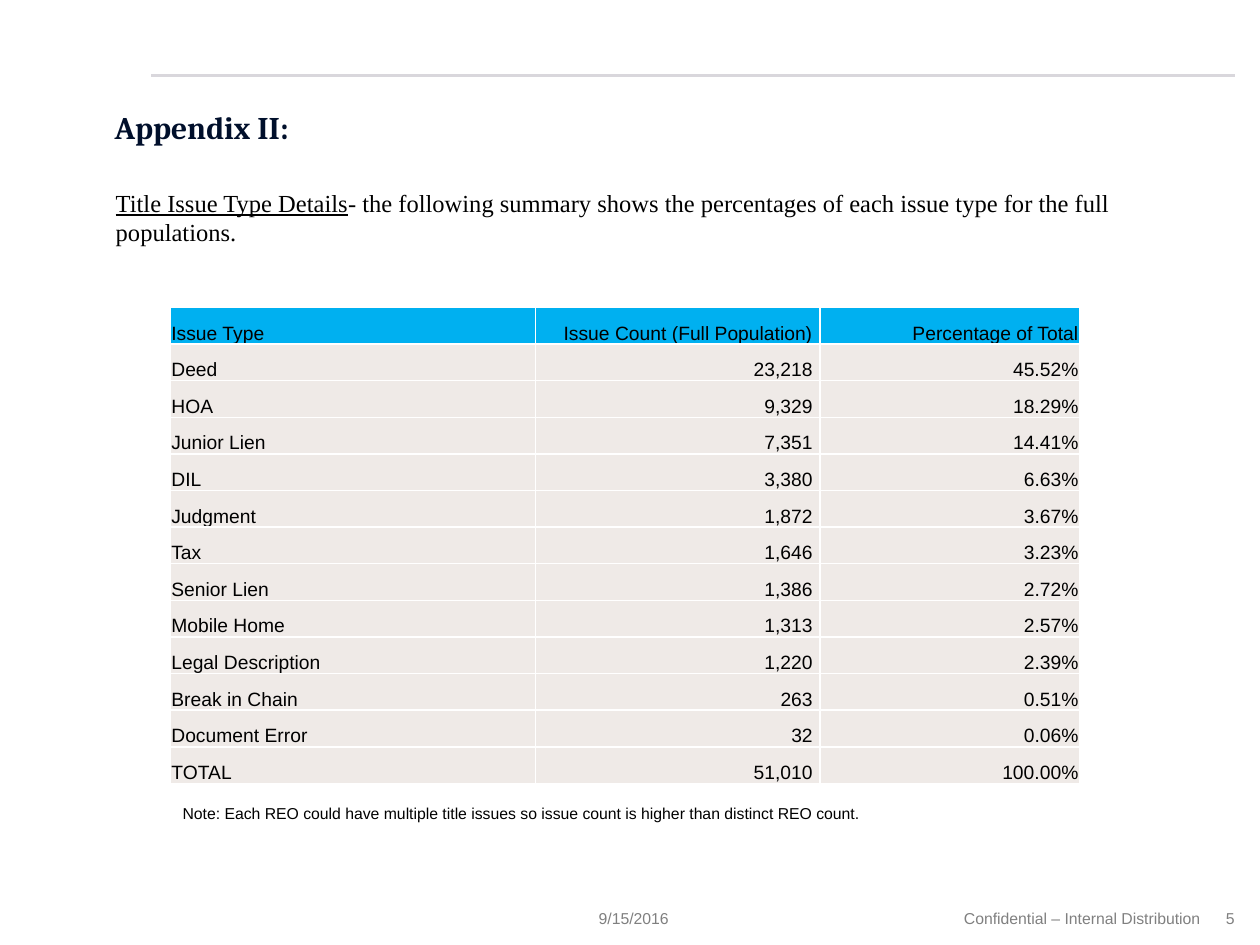
import pptx
import pptx.dml.color
import pptx.enum.shapes
import pptx.enum.text
import pptx.oxml
import pptx.oxml.ns
import pptx.util
import lxml.etree

Inches = pptx.util.Inches
Align = pptx.enum.text.PP_ALIGN
qn = pptx.oxml.ns.qn


def color(value):
    return pptx.dml.color.RGBColor.from_string(value)


def write(para, text, size, font, fill, **extra):
    span = para.add_run()
    span.text = text
    formats = {"size": pptx.util.Pt(size), "name": font, **extra}
    for name, value in formats.items():
        setattr(span.font, name, value)
    span.font.color.rgb = color(fill)


deck = pptx.Presentation()
deck.slide_width, deck.slide_height = Inches(10), Inches(7.5)
page = deck.slides.add_slide(deck.slide_layouts[5])

# Rule across the top
rule = page.shapes.add_connector(
    pptx.enum.shapes.MSO_CONNECTOR.STRAIGHT,
    Inches(1.2), Inches(0.6), Inches(9.8), Inches(0.6))
rule.line.color.rgb = color("D9D7DC")
rule.line.width = pptx.util.Pt(1.5)
lxml.etree.SubElement(rule.element.spPr, qn("a:effectLst"))

# Title
title = page.shapes.title
title.left, title.top = Inches(0.91), Inches(0.81)
title.width, title.height = Inches(8.84), Inches(0.64)
frame_formats = {
    "margin_left": 0, "margin_right": Inches(0.1),
    "margin_top": Inches(0.05), "margin_bottom": Inches(0.05),
    "vertical_anchor": pptx.enum.text.MSO_ANCHOR.TOP,
    "auto_size": pptx.enum.text.MSO_AUTO_SIZE.NONE,
}
for name, value in frame_formats.items():
    setattr(title.text_frame, name, value)
heading = title.text_frame.paragraphs[0]
heading.alignment = Align.LEFT
write(heading, "Appendix II:", 18, "Cambria", "000F2B", bold=True)

# Intro, note, date and footer: place, alignment, spans
serif = (14, "Times New Roman", "000000")
small = (9, "Arial", "000000")
muted = (9, "Arial", "808080")
texts = [
    ((0.82, 1.44, 8.15, 0.57), Align.LEFT, [
        ("Title Issue Type Details", serif, {"underline": True}),
        ("- the following summary shows the percentages of each issue type "
         "for the full populations.", serif, {})]),
    ((1.35, 6.33, 5.88, 0.25), Align.LEFT, [
        ("Note: Each REO could have multiple title issues so issue count is "
         "higher than distinct REO count.", small, {})]),
    ((4.53, 7.16, 1, 0.25), Align.CENTER, [("9/15/2016", muted, {})]),
    ((7.3, 7.16, 2.59, 0.25), Align.LEFT, [
        ("Confidential – Internal Distribution\t5", muted, {})]),
]
for place, align, spans in texts:
    box = page.shapes.add_textbox(*map(Inches, place))
    box.text_frame.word_wrap = True
    para = box.text_frame.paragraphs[0]
    para.alignment = align
    for text, style, extra in spans:
        write(para, text, *style, **extra)

# Tab stop in the footer, the last box, sets the page number apart
box.text_frame.margin_left = Inches(0.35)
box.text_frame.margin_right = Inches(0.02)
tabs = lxml.etree.SubElement(para._p.get_or_add_pPr(), qn("a:tabLst"))
lxml.etree.SubElement(tabs, qn("a:tab"), pos=str(Inches(2.08)), algn="l")

# Issue table
rows = [
    ("Issue Type", "Issue Count (Full Population)", "Percentage of Total"),
    ("Deed", "23,218", "45.52%"),
    ("HOA", "9,329", "18.29%"),
    ("Junior Lien", "7,351", "14.41%"),
    ("DIL", "3,380", "6.63%"),
    ("Judgment", "1,872", "3.67%"),
    ("Tax", "1,646", "3.23%"),
    ("Senior Lien", "1,386", "2.72%"),
    ("Mobile Home", "1,313", "2.57%"),
    ("Legal Description", "1,220", "2.39%"),
    ("Break in Chain", "263", "0.51%"),
    ("Document Error", "32", "0.06%"),
    ("TOTAL", "51,010", "100.00%"),
]
# Width, alignment and right margin of each column
columns = [(2.9, Align.LEFT, 0.01), (2.26, Align.RIGHT, 0.06),
           (2.06, Align.RIGHT, 0.01)]
table_height = 3.78
table = page.shapes.add_table(
    len(rows), len(columns), Inches(1.35), Inches(2.44),
    Inches(7.22), Inches(table_height)).table
for column, (width, _, _) in zip(table.columns, columns):
    column.width = Inches(width)
for r, values in enumerate(rows):
    table.rows[r].height = Inches(table_height / len(rows))
    for c, (text, (_, align, right)) in enumerate(zip(values, columns)):
        cell = table.cell(r, c)
        cell_formats = {
            "margin_left": Inches(0.01), "margin_right": Inches(right),
            "margin_top": Inches(0.01), "margin_bottom": 0,
            "vertical_anchor": pptx.enum.text.MSO_ANCHOR.BOTTOM,
        }
        for name, value in cell_formats.items():
            setattr(cell, name, value)
        para = cell.text_frame.paragraphs[0]
        para.alignment = align
        write(para, text, 11, "Arial", "000000", bold=False)
        # Borders come before the fill in the cell properties
        cell_props = cell._tc.get_or_add_tcPr()
        for side in ("lnL", "lnR", "lnT", "lnB"):
            line = lxml.etree.SubElement(cell_props, qn("a:" + side), w="12700")
            solid = lxml.etree.SubElement(line, qn("a:solidFill"))
            lxml.etree.SubElement(solid, qn("a:srgbClr"), val="FFFFFF")
        cell.fill.solid()
        cell.fill.fore_color.rgb = color("EFEAE7" if r else "00B0F0")

deck.save("out.pptx")
